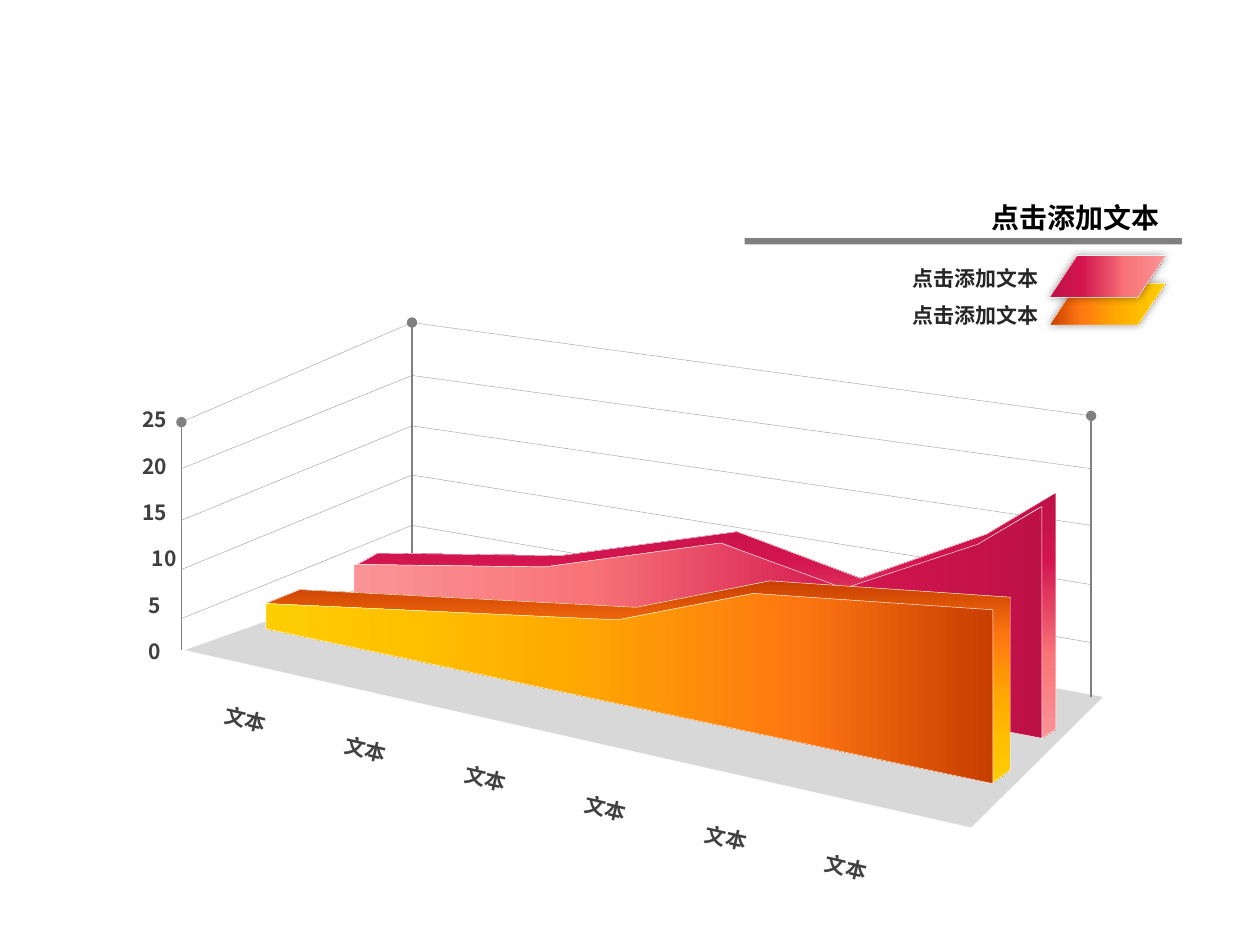
from lxml.etree import SubElement
from pptx import Presentation
from pptx.dml.color import RGBColor
from pptx.enum.dml import MSO_LINE
from pptx.enum.shapes import MSO_CONNECTOR, MSO_SHAPE
from pptx.enum.text import MSO_AUTO_SIZE, PP_ALIGN
from pptx.oxml.ns import qn
from pptx.util import Inches, Pt

COLUMNS, ROWS = 1000, 750
WIDTH, HEIGHT = Inches(10), Inches(7.5)
FONT = "Noto Sans CJK SC"
WHITE = RGBColor(0xFF, 0xFF, 0xFF)
BLACK = RGBColor(0, 0, 0)
GREY = RGBColor(0x80, 0x80, 0x80)
FLOOR_GREY = RGBColor(0xA6, 0xA6, 0xA6)
AXIS_TEXT = RGBColor(0x40, 0x40, 0x40)
LEGEND_TEXT = RGBColor(0x26, 0x26, 0x26)
PINK = [(0, RGBColor(0xBE, 0x12, 0x47)), (27, RGBColor(0xD2, 0x14, 0x4F)),
        (66, RGBColor(0xF8, 0x74, 0x77)), (100, RGBColor(0xFA, 0x94, 0x96))]
ORANGE = [(0, RGBColor(0xC7, 0x3E, 0x01)), (27, RGBColor(0xFF, 0x77, 0x11)),
          (59, RGBColor(0xFF, 0xAA, 0x01)), (80, RGBColor(0xFF, 0xC0, 0x00)),
          (100, RGBColor(0xFE, 0xCE, 0x02))]

TITLE = "点击添加文本"
LEGEND = [("点击添加文本", 235, 225, ORANGE), ("点击添加文本", 206, 203, PINK)]
VALUES = ["0", "5", "10", "15", "20", "25"]
CATEGORIES = ["文本"] * 6

LEFT, CORNER, RIGHT = 144, 327, 866
GRID_ROWS = [(335, 256, 330), (372, 298, 372), (413, 338, 417),
             (452, 377, 464), (491, 417, 510)]
POSTS = [(LEFT, 516, 335), (RIGHT, 553, 330), (CORNER, 448, 256)]
FLOOR = [(326, 452), (146, 516), (771, 657), (876, 553)]
AREAS = [
    (PINK, 90, [(838, 391), (838, 579), (827, 586), (826, 423), (825, 403), (775, 433),
                (669, 469), (573, 431), (435, 451), (282, 449), (300, 439), (445, 441),
                (585, 422), (683, 459), (783, 424)]),
    (PINK, 180, [(281, 480), (281, 448), (432, 450), (572, 431), (670, 467), (776, 432),
                 (827, 402), (827, 586)]),
    (ORANGE, 90, [(611, 461), (802, 474), (802, 611), (787, 622), (787, 487), (598, 472),
                  (491, 495), (211, 479), (238, 468), (505, 482)]),
    (ORANGE, 180, [(211, 499), (788, 622), (788, 484), (598, 471), (490, 492), (211, 479)]),
]


def across(columns):
    return round(WIDTH * columns / COLUMNS)


def down(rows):
    return round(HEIGHT * rows / ROWS)


def place(left, top, width, height):
    return across(left), down(top), across(width), down(height)


def outline(shape):
    shape.shadow.inherit = False
    shape.line.color.rgb = WHITE
    shape.line.width = Pt(0.25)


def fill_gradient(shape, stops, angle):
    shape.fill.gradient()
    gradient = shape._element.spPr.find(qn("a:gradFill"))
    for child in list(gradient):
        gradient.remove(child)
    stop_list = SubElement(gradient, qn("a:gsLst"))
    for position, color in stops:
        stop = SubElement(stop_list, qn("a:gs"), pos=str(position * 1000))
        SubElement(stop, qn("a:srgbClr"), val=str(color))
    SubElement(gradient, qn("a:lin"), ang=str(angle * 60000), scaled="0")


def add_polygon(page, points):
    start, *others = [(across(x), down(y)) for x, y in points]
    builder = page.shapes.build_freeform(*start, scale=1.0)
    builder.add_line_segments(others, close=True)
    shape = builder.convert_to_shape()
    outline(shape)
    return shape


def add_line(page, x1, y1, x2, y2, post=False):
    line = page.shapes.add_connector(
        MSO_CONNECTOR.STRAIGHT, across(x1), down(y1), across(x2), down(y2))
    line.line.color.rgb = GREY
    line.line.width = Pt(1 if post else 0.25)
    if post:
        SubElement(line.line._get_or_add_ln(), qn("a:tailEnd"), type="oval")
    else:
        line.line.dash_style = MSO_LINE.ROUND_DOT
    SubElement(line._element.spPr, qn("a:effectLst"))


def add_text(page, text, area, color, align=PP_ALIGN.CENTER, size=12, **frame_format):
    box = page.shapes.add_textbox(*place(*area))
    frame = box.text_frame
    settings = {"word_wrap": True, "auto_size": MSO_AUTO_SIZE.SHAPE_TO_FIT_TEXT}
    for name, value in (settings | frame_format).items():
        setattr(frame, name, value)
    paragraph = frame.paragraphs[0]
    paragraph.alignment = align
    span = paragraph.add_run()
    span.text = text
    for name, value in {"name": FONT, "size": Pt(size), "bold": True}.items():
        setattr(span.font, name, value)
    span.font.color.rgb = color
    SubElement(span._r.get_or_add_rPr(), qn("a:ea"), typeface=FONT)
    return box


def add_swatch(page, top, stops):
    swatch = page.shapes.add_shape(MSO_SHAPE.PARALLELOGRAM, *place(833, top, 92, 33))
    swatch.adjustments[0] = 0.66
    fill_gradient(swatch, stops, 0)
    outline(swatch)
    effects = swatch._element.spPr.find(qn("a:effectLst"))
    shadow = SubElement(effects, qn("a:outerShdw"), blurRad=str(Pt(5)), dist="0",
                        dir="0", algn="ctr", rotWithShape="0")
    color = SubElement(shadow, qn("a:srgbClr"), val=str(BLACK))
    SubElement(color, qn("a:alpha"), val="40000")


def add_scene(page):
    floor = add_polygon(page, FLOOR)
    floor.fill.solid()
    floor.fill.fore_color.rgb = FLOOR_GREY
    color = floor._element.spPr.find(qn("a:solidFill"))[0]
    SubElement(color, qn("a:alpha"), val="43000")
    for x, bottom, top in POSTS:
        add_line(page, x, bottom, x, top, post=True)
    for left, corner, right in GRID_ROWS:
        add_line(page, LEFT, left, CORNER, corner)
        add_line(page, CORNER, corner, RIGHT, right)
    for index, category in enumerate(CATEGORIES):
        area = (126 + 95.3 * index, 556 + 23.5 * index, 137, 34)
        add_text(page, category, area, AXIS_TEXT).rotation = 13.1
    for stops, angle, points in AREAS:
        fill_gradient(add_polygon(page, points), stops, angle)
    for index, value in enumerate(VALUES):
        inset = Inches(0.1 if value == "10" else 0.25)
        add_text(page, value, (62, 502 - 36.8 * index, 137, 30), AXIS_TEXT,
                 margin_right=inset)


def add_legend(page):
    for label, top, _, _ in LEGEND:
        add_text(page, label, (561, top, 273, 30), LEGEND_TEXT, PP_ALIGN.RIGHT)
    rule = page.shapes.add_shape(MSO_SHAPE.RECTANGLE, *place(591, 189, 347, 5))
    rule.shadow.inherit = False
    rule.fill.solid()
    rule.fill.fore_color.rgb = GREY
    rule.line.fill.background()
    add_text(page, TITLE, (776, 154, 159, 37), BLACK, PP_ALIGN.RIGHT, 16,
             margin_left=0, margin_right=Inches(0.15))
    for _, _, top, stops in LEGEND:
        add_swatch(page, top, stops)


def main():
    deck = Presentation()
    deck.slide_width, deck.slide_height = WIDTH, HEIGHT
    page = deck.slides.add_slide(deck.slide_layouts[6])
    add_scene(page)
    add_legend(page)
    deck.save("out.pptx")


if __name__ == "__main__":
    main()
